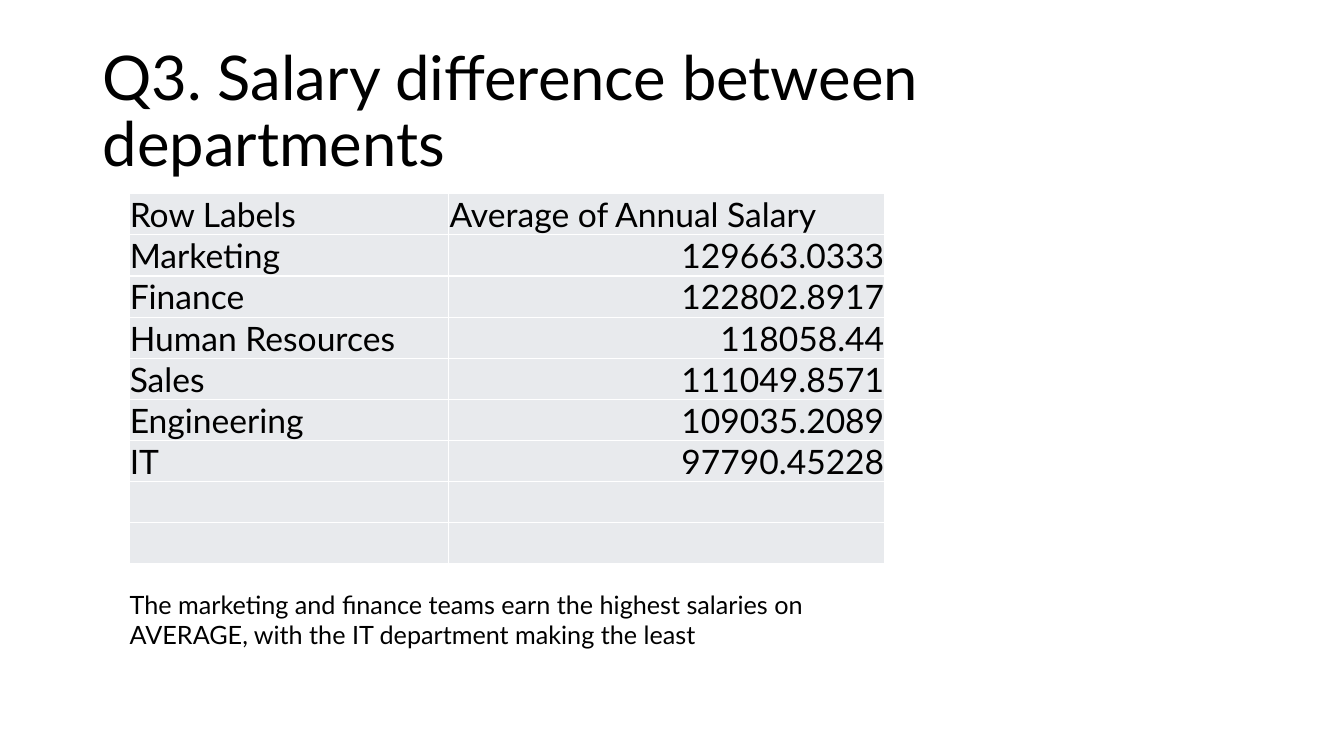
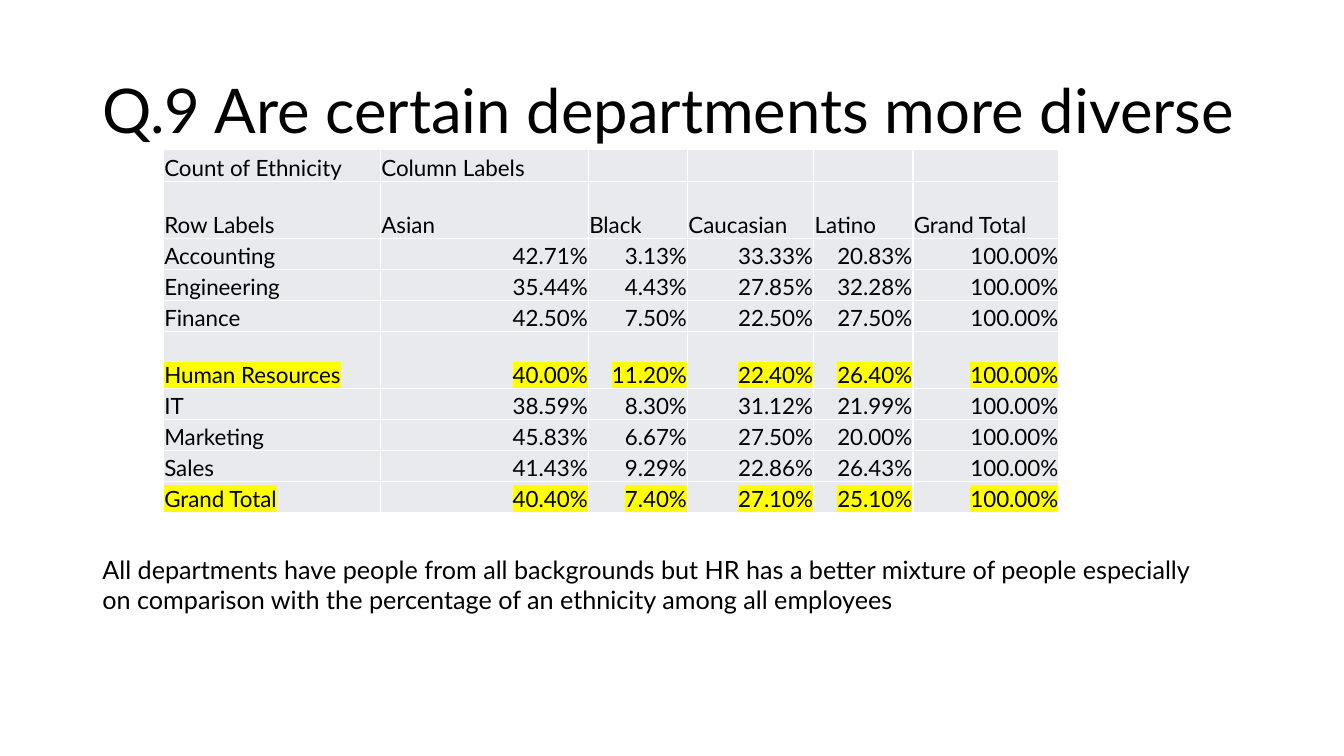
from dataclasses import dataclass
from lxml.etree import SubElement as Sub
from pptx import Presentation
from pptx.dml.color import RGBColor as Rgb
from pptx.enum.text import MSO_ANCHOR as Anchor, MSO_AUTO_SIZE as Fit, PP_ALIGN as Align
from pptx.oxml.ns import qn
from pptx.util import Cm, Pt


@dataclass(frozen=True)
class Theme:
    font: str = "Lato"
    ink: str = "000000"
    cell: str = "E8EAED"
    rule: str = "FFFFFF"
    mark: str = "FFFF00"
    title: int = 44
    note: int = 18
    line: int = 1


theme = Theme()


def write(frame, text, size, align=Align.LEFT, space=None, mark=None):
    para = frame.paragraphs[0]
    para.alignment = align
    para.line_spacing = space
    run = para.add_run()
    run.text = text
    font = run.font
    font.name, font.size, font.bold = theme.font, Pt(size), False
    font.color.rgb = Rgb.from_string(theme.ink)
    if mark:
        props = run._r.get_or_add_rPr()
        light = Sub(props, qn("a:highlight"))
        Sub(light, qn("a:srgbClr"), val=mark)
        props.find(qn("a:solidFill")).addnext(light)


def paint(cell):
    cell.margin_left = cell.margin_right = cell.margin_top = Cm(0.02)
    cell.margin_bottom = 0
    cell.vertical_anchor = Anchor.BOTTOM
    props = cell._tc.get_or_add_tcPr()
    for side in ("lnL", "lnR", "lnT", "lnB"):
        edge = Sub(props, qn(f"a:{side}"), w=str(Pt(theme.line)))
        Sub(Sub(edge, qn("a:solidFill")), qn("a:srgbClr"), val=theme.rule)
    cell.fill.solid()
    cell.fill.fore_color.rgb = Rgb.from_string(theme.cell)


pages = [
    dict(
        title="Q3. Salary difference between departments",
        spot=(3.25, 4.88),
        cols=[8.06, 10.99],
        row=1.03,
        tall={},
        size=24,
        heads=1,
        marks=(),
        data=[
            ["Row Labels", "Average of Annual Salary"],
            ["Marketing", "129663.0333"],
            ["Finance", "122802.8917"],
            ["Human Resources", "118058.44"],
            ["Sales", "111049.8571"],
            ["Engineering", "109035.2089"],
            ["IT", "97790.45228"],
            ["", ""],
            ["", ""],
        ],
        note="The marketing and finance teams earn the highest salaries on AVERAGE, "
             "with the IT department making the least",
        box=(3.02, 14.73, 18.85, 1.8),
    ),
    dict(
        title="Q.9 Are certain departments more diverse",
        spot=(4.12, 3.77),
        cols=[5.47, 5.24, 2.5, 3.18, 2.5, 3.68],
        row=0.78,
        tall={1: 1.44, 5: 1.44},
        size=16,
        heads=2,
        marks=("Human Resources", "Grand Total"),
        data=[
            ["Count of Ethnicity", "Column Labels", "", "", "", ""],
            ["Row Labels", "Asian", "Black", "Caucasian", "Latino", "Grand Total"],
            ["Accounting", "42.71%", "3.13%", "33.33%", "20.83%", "100.00%"],
            ["Engineering", "35.44%", "4.43%", "27.85%", "32.28%", "100.00%"],
            ["Finance", "42.50%", "7.50%", "22.50%", "27.50%", "100.00%"],
            ["Human Resources", "40.00%", "11.20%", "22.40%", "26.40%", "100.00%"],
            ["IT", "38.59%", "8.30%", "31.12%", "21.99%", "100.00%"],
            ["Marketing", "45.83%", "6.67%", "27.50%", "20.00%", "100.00%"],
            ["Sales", "41.43%", "9.29%", "22.86%", "26.43%", "100.00%"],
            ["Grand Total", "40.40%", "7.40%", "27.10%", "25.10%", "100.00%"],
        ],
        note="All departments have people from all backgrounds but HR has a better mixture "
             "of people especially on comparison with the percentage of an ethnicity "
             "among all employees",
        box=(2.33, 13.84, 28.73, 1.8),
    ),
]

deck = Presentation()
deck.slide_width, deck.slide_height = Cm(33.87), Cm(19.05)

for page in pages:
    slide = deck.slides.add_slide(deck.slide_layouts[5])
    title = slide.shapes.title
    title.left, title.top, title.width, title.height = map(Cm, (2.33, 1.02, 29.21, 3.68))
    title.text_frame.vertical_anchor = Anchor.MIDDLE
    title.text_frame.auto_size = Fit.NONE
    write(title.text_frame, page["title"], theme.title, space=0.9)

    data, cols = page["data"], page["cols"]
    highs = [page["tall"].get(r, page["row"]) for r in range(len(data))]
    area = map(Cm, (*page["spot"], sum(cols), sum(highs)))
    table = slide.shapes.add_table(len(data), len(cols), *area).table
    table.first_row = table.horz_banding = False
    for col, wide in zip(table.columns, cols):
        col.width = Cm(wide)
    for r, (row, high) in enumerate(zip(data, highs)):
        table.rows[r].height = Cm(high)
        mark = theme.mark if row[0] in page["marks"] else None
        for c, text in enumerate(row):
            cell = table.cell(r, c)
            paint(cell)
            if text:
                align = Align.RIGHT if c and r >= page["heads"] else Align.LEFT
                write(cell.text_frame, text, page["size"], align=align, mark=mark)

    note = slide.shapes.add_textbox(*map(Cm, page["box"])).text_frame
    note.word_wrap = True
    note.auto_size = Fit.SHAPE_TO_FIT_TEXT
    write(note, page["note"], theme.note)

deck.save("out.pptx")
